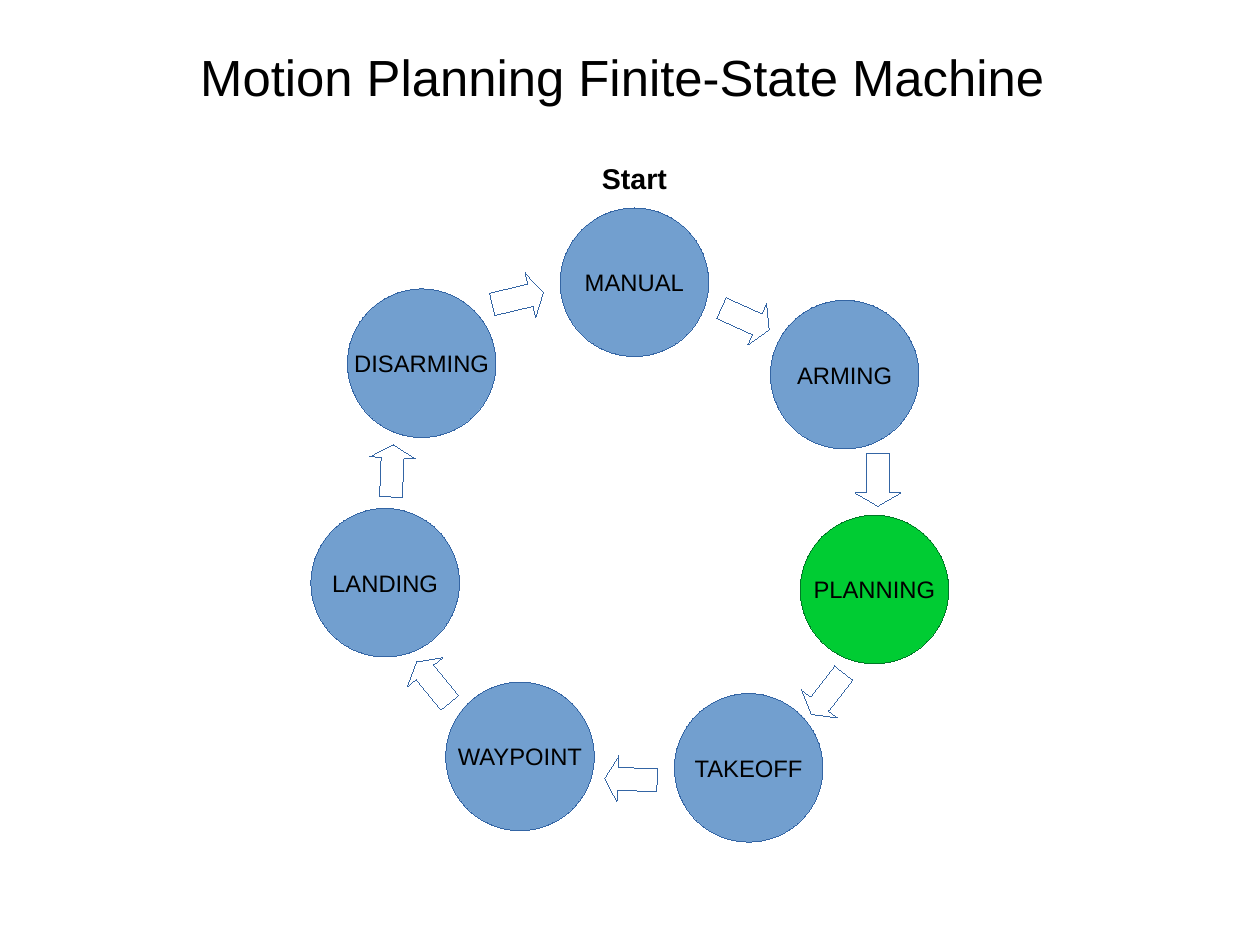
"""Draw the motion planning finite-state machine as a ring of states and arrows."""
from typing import NamedTuple

from pptx import Presentation, util as u
from pptx.dml.color import RGBColor
from pptx.enum import shapes, text

BLUE = RGBColor(0x72, 0x9F, 0xCF)
BLUE_EDGE = RGBColor(0x34, 0x65, 0xA4)
GREEN = RGBColor(0x00, 0xCC, 0x33)
GREEN_EDGE = RGBColor(0x00, 0x78, 0x26)
WHITE = RGBColor(0xFF, 0xFF, 0xFF)
BLACK = RGBColor(0x00, 0x00, 0x00)

WIDTH, HEIGHT = u.Cm(28), u.Cm(21)
TITLE_FORMAT = {"name": "Arial", "size": u.Pt(32), "bold": False}
START_FORMAT = {"name": "Arial", "size": u.Pt(18), "bold": True}
STATE_FORMAT = {"name": "Arial", "size": u.Pt(15), "bold": False}
NO_MARGINS = dict.fromkeys(("margin_left", "margin_right", "margin_top", "margin_bottom"), 0)


class Area(NamedTuple):
    """Centre and size in percent of the slide."""
    x: float
    y: float
    width: float
    height: float

    def frame(self) -> tuple[int, int, int, int]:
        """Return left, top, width and height in EMU."""
        return (
            round((self.x - self.width / 2) * WIDTH / 100),
            round((self.y - self.height / 2) * HEIGHT / 100),
            round(self.width * WIDTH / 100),
            round(self.height * HEIGHT / 100),
        )


class State(NamedTuple):
    """A state's name, centre and colours."""
    name: str
    x: float
    y: float
    fill: RGBColor = BLUE
    edge: RGBColor = BLUE_EDGE


class Transition(NamedTuple):
    """A transition arrow's centre and clockwise turn in degrees."""
    x: float
    y: float
    turn: float


TITLE_AREA = Area(49.44, 51.4, 98.88, 93.13)
START_AREA = Area(50.35, 18.75, 9.98, 4.6)
STATE_SIZE = (11.79, 15.72)
ARROW_SIZE = (4.17, 4.84)

STATES = (
    State("MANUAL", 50.35, 29.87),
    State("ARMING", 67.04, 39.64),
    State("PLANNING", 69.4, 62.38, GREEN, GREEN_EDGE),
    State("TAKEOFF", 59.42, 81.25),
    State("WAYPOINT", 41.27, 80.04),
    State("LANDING", 30.57, 61.66),
    State("DISARMING", 33.47, 38.43),
)
TRANSITIONS = (
    Transition(59.15, 33.74, 24.4),
    Transition(69.67, 50.78, 90),
    Transition(65.68, 73.4, 127.9),
    Transition(50.07, 82.46, 182.4),
    Transition(34.38, 72.19, 230.7),
    Transition(31.12, 49.81, 272.4),
    Transition(41.1, 31.56, 346.7),
)


def apply(target, values: dict) -> None:
    """Set each named attribute of the target."""
    for name, value in values.items():
        setattr(target, name, value)


def write(box, words: str, font: dict, frame: dict) -> None:
    """Write one centred black paragraph into a box."""
    apply(box.text_frame, frame)
    para = box.text_frame.paragraphs[0]
    para.alignment = text.PP_ALIGN.CENTER
    span = para.add_run()
    span.text = words
    apply(span.font, font)
    span.font.color.rgb = BLACK


def add_figure(page, kind, area: Area, fill: RGBColor, edge: RGBColor):
    """Add a flat preset shape with a hairline edge."""
    figure = page.shapes.add_shape(kind, *area.frame())
    figure.shadow.inherit = False
    figure.fill.solid()
    figure.fill.fore_color.rgb = fill
    figure.line.color.rgb = edge
    figure.element.spPr.get_or_add_ln().set("w", "0")
    return figure


def add_state(page, state: State) -> None:
    """Add a named state circle."""
    area = Area(state.x, state.y, *STATE_SIZE)
    circle = add_figure(page, shapes.MSO_SHAPE.OVAL, area, state.fill, state.edge)
    frame = {"word_wrap": False, "vertical_anchor": text.MSO_ANCHOR.MIDDLE}
    write(circle, state.name, STATE_FORMAT, frame)


def add_transition(page, transition: Transition) -> None:
    """Add a turned block arrow."""
    area = Area(transition.x, transition.y, *ARROW_SIZE)
    arrow = add_figure(page, shapes.MSO_SHAPE.RIGHT_ARROW, area, WHITE, BLUE_EDGE)
    arrow.adjustments[1] = 0.29
    arrow.rotation = transition.turn


def main() -> None:
    """Build and save the deck."""
    deck = Presentation()
    apply(deck, {"slide_width": WIDTH, "slide_height": HEIGHT})
    page = deck.slides.add_slide(deck.slide_layouts[6])
    title = page.shapes.add_textbox(*TITLE_AREA.frame())
    write(title, "Motion Planning Finite-State Machine", TITLE_FORMAT,
          {"word_wrap": True, **NO_MARGINS})
    for state in STATES:
        add_state(page, state)
    for transition in TRANSITIONS:
        add_transition(page, transition)
    start = page.shapes.add_textbox(*START_AREA.frame())
    write(start, "Start", START_FORMAT, {"word_wrap": True})
    deck.save("out.pptx")


main()
